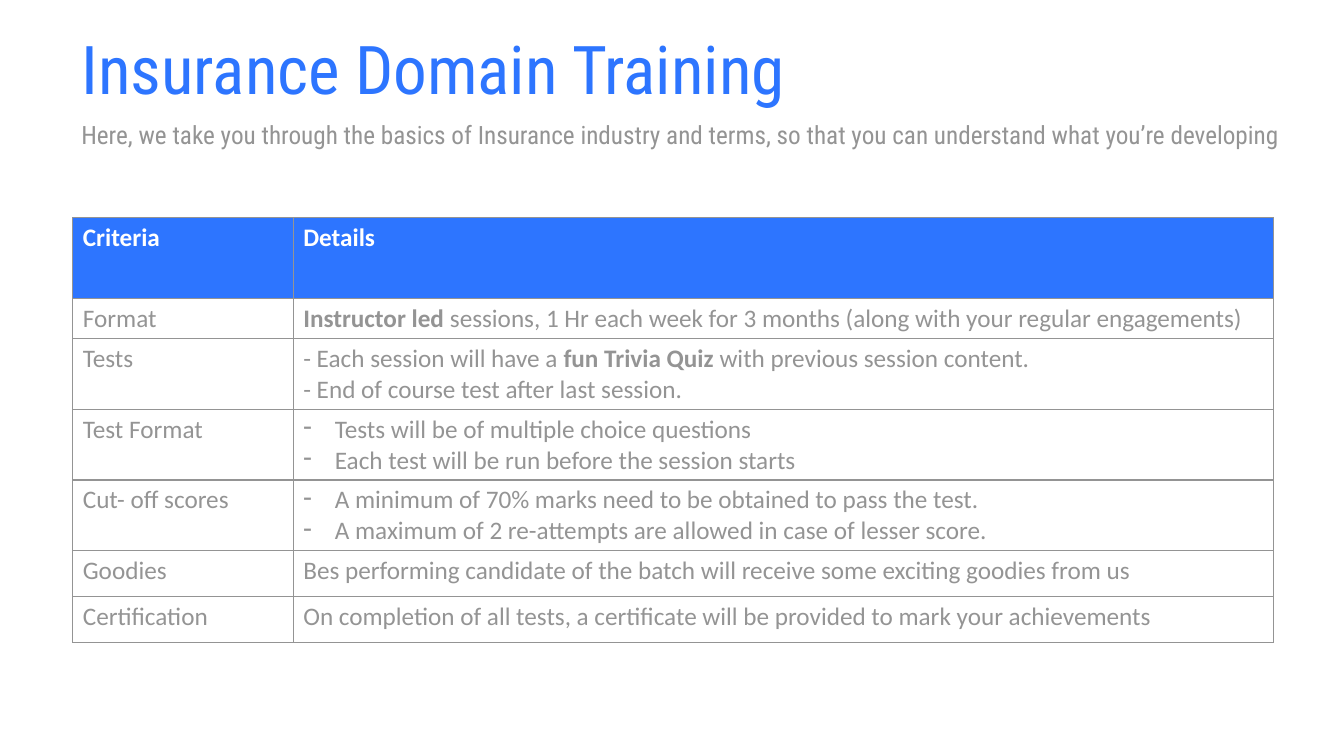
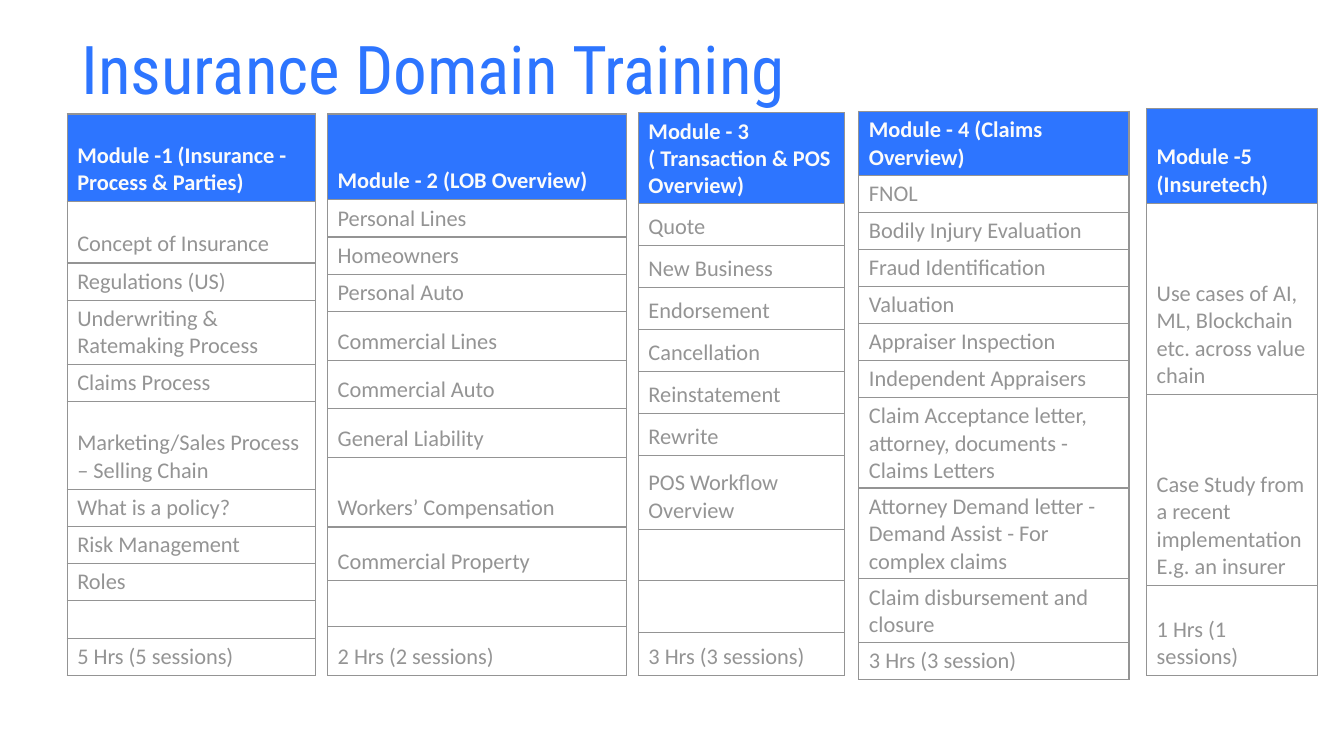
from lxml import etree
from pptx import Presentation
from pptx.dml.color import RGBColor
from pptx.enum.text import MSO_ANCHOR, MSO_AUTO_SIZE
from pptx.oxml.ns import qn
from pptx.util import Pt

TOP = MSO_ANCHOR.TOP
BOTTOM = MSO_ANCHOR.BOTTOM
GROW = MSO_AUTO_SIZE.SHAPE_TO_FIT_TEXT

COLORS = {
    "blue": "2D75FF",
    "grey": "949494",
    "white": "FFFFFF",
    "off_white": "FBFBFB",
}
FORMATS = {
    "title": {"name": "Roboto Condensed", "size": Pt(48), "color": "blue"},
    "subtitle": {"name": "Roboto Condensed", "size": Pt(18), "color": "grey"},
    "criteria_head": {"name": "Calibri", "size": Pt(18), "color": "white", "bold": True},
    "criteria_body": {"name": "Calibri", "size": Pt(18), "color": "grey", "bold": False},
    "module_head": {"name": "Calibri", "size": Pt(16), "color": "off_white", "bold": True},
    "module_body": {"name": "Calibri", "size": Pt(16), "color": "grey", "bold": False},
}

TITLE = "Insurance Domain Training"
SUBTITLE = (
    "Here, we take you through the basics of Insurance industry and terms, "
    "so that you can understand what you’re developing"
)
TITLE_BOX = (51, 16, 888.5, 65.5)
SUBTITLE_BOX = (51, 81.5, 888.5, 51)
CRITERIA_BOX = (52, 155.5, 857.5)
CRITERIA_WIDTH = 157.5
BULLET_INDENT = Pt(22.5)

CRITERIA = [
    (57.6, "Criteria", ["Details"], False),
    (28.4, "Format", [
        "**Instructor led **sessions, 1 Hr each week for 3 months "
        "(along with your regular engagements)",
    ], False),
    (50.4, "Tests", [
        "- Each session will have a **fun Trivia Quiz **with previous session content.",
        "- End of course test after last session.",
    ], False),
    (50.4, "Test Format", [
        "Tests will be of multiple choice questions",
        "Each test will be run before the session starts",
    ], True),
    (50.4, "Cut- off scores", [
        "A minimum of 70% marks need to be obtained to pass the test.",
        "A maximum of 2 re-attempts are allowed in case of lesser score.",
    ], True),
    (33, "Goodies", [
        "Bes performing candidate of the batch will receive some exciting goodies from us",
    ], False),
    (33, "Certification", [
        "On completion of all tests, a certificate will be provided to mark your achievements",
    ], False),
]

MODULES = [
    ((48, 81.5, 177.5), [
        (62.6, "Module -1 (Insurance - Process & Parties)"),
        (43.8, "Concept of Insurance"),
        (26.6, "Regulations (US)"),
        (45.8, "Underwriting & Ratemaking Process"),
        (26.6, "Claims Process"),
        (62.6, "Marketing/Sales Process – Selling Chain"),
        (26.6, "What is a policy?"),
        (26.6, "Risk Management"),
        (26.6, "Roles"),
        (26.6, ""),
        (26.6, "5 Hrs (5 sessions)"),
    ]),
    ((234, 81.5, 213.5), [
        (61.2, "Module - 2 (LOB Overview)"),
        (26.6, "Personal Lines"),
        (26.6, "Homeowners"),
        (26.6, "Personal Auto"),
        (34.8, "Commercial Lines"),
        (34.8, "Commercial Auto"),
        (34.8, "General Liability"),
        (49.6, "Workers’ Compensation"),
        (38.2, "Commercial Property"),
        (33, ""),
        (34.8, "2 Hrs (2 sessions)"),
    ]),
    ((456, 80.5, 147.5), [
        (65, "Module - 3 ( Transaction & POS Overview)"),
        (30, "Quote"),
        (30, "New Business"),
        (30, "Endorsement"),
        (30, "Cancellation"),
        (30, "Reinstatement"),
        (30, "Rewrite"),
        (52.6, "POS Workflow Overview"),
        (36.8, ""),
        (36.8, ""),
        (31, "3 Hrs (3 sessions)"),
    ]),
    ((613.5, 79.5, 193), [
        (45.8, "Module - 4 (Claims Overview)"),
        (26.4, "FNOL"),
        (26.4, "Bodily Injury Evaluation"),
        (26.4, "Fraud Identification"),
        (26.4, "Valuation"),
        (26.4, "Appraiser Inspection"),
        (26.4, "Independent Appraisers"),
        (64.8, "Claim Acceptance letter, attorney, documents - Claims Letters"),
        (64.8, "Attorney Demand letter - Demand Assist - For complex claims"),
        (45.6, "Claim disbursement and closure"),
        (26.4, "3 Hrs (3 session)"),
    ]),
    ((819, 77.5, 122), [
        (67.7, "Module -5 (Insuretech)"),
        (136.6, "Use cases of AI, ML, Blockchain etc. across value chain"),
        (136.6, "Case Study from a recent implementation E.g. an insurer"),
        (64.2, "1 Hrs (1 sessions)"),
    ]),
]


def rgb(color):
    return RGBColor.from_string(COLORS[color])


def style_font(font, format_name):
    for attribute, value in FORMATS[format_name].items():
        if attribute == "color":
            font.color.rgb = rgb(value)
        else:
            setattr(font, attribute, value)


def add_bullet(paragraph):
    properties = paragraph._p.get_or_add_pPr()
    properties.set("marL", str(BULLET_INDENT))
    properties.set("indent", str(-BULLET_INDENT))
    etree.SubElement(properties, qn("a:buChar"), char="-")


def write_text(text_frame, lines, format_name, bulleted=False):
    for index, line in enumerate(lines):
        paragraph = text_frame.add_paragraph() if index else text_frame.paragraphs[0]
        if bulleted:
            add_bullet(paragraph)
        for position, part in enumerate(line.split("**")):
            if part:
                run = paragraph.add_run()
                run.text = part
                style_font(run.font, format_name)
                if position % 2:
                    run.font.bold = True
        if not line:
            size = FORMATS[format_name]["size"].centipoints
            etree.SubElement(paragraph._p, qn("a:endParaRPr"), sz=str(size))


def add_text(slide, box, text, format_name):
    shape = slide.shapes.add_textbox(*map(Pt, box))
    shape.text_frame.word_wrap = True
    shape.text_frame.auto_size = GROW
    write_text(shape.text_frame, [text], format_name)


def style_cell(cell, fill_color, anchor):
    properties = cell._tc.get_or_add_tcPr()
    for edge in ("a:lnL", "a:lnR", "a:lnT", "a:lnB"):
        line = etree.SubElement(properties, qn(edge), w=str(Pt(1)))
        fill = etree.SubElement(line, qn("a:solidFill"))
        etree.SubElement(fill, qn("a:srgbClr"), val=COLORS["grey"])
    cell.fill.solid()
    cell.fill.fore_color.rgb = rgb(fill_color)
    cell.vertical_anchor = anchor


def add_grid(slide, box, widths, rows, style, anchor):
    left, top, width = box
    heights = [height for height, _ in rows]
    frame = slide.shapes.add_table(
        len(rows), len(widths), Pt(left), Pt(top), Pt(width), Pt(sum(heights))
    )
    table = frame.table
    table.first_row = False
    table.horz_banding = False
    for column, column_width in zip(table.columns, widths):
        column.width = Pt(column_width)
    for row_index, (height, contents) in enumerate(rows):
        table.rows[row_index].height = Pt(height)
        part, fill_color = ("body", "white") if row_index else ("head", "blue")
        for column_index, (lines, bulleted) in enumerate(contents):
            cell = table.cell(row_index, column_index)
            style_cell(cell, fill_color, anchor)
            write_text(cell.text_frame, lines, f"{style}_{part}", bulleted)


def add_criteria(slide, box):
    rows = [
        (height, [([criterion], False), (details, bulleted)])
        for height, criterion, details, bulleted in CRITERIA
    ]
    widths = [CRITERIA_WIDTH, box[2] - CRITERIA_WIDTH]
    add_grid(slide, box, widths, rows, "criteria", TOP)


def add_module(slide, box, topics):
    rows = [(height, [([topic], False)]) for height, topic in topics]
    add_grid(slide, box, [box[2]], rows, "module", BOTTOM)


def add_titled_slide(presentation):
    slide = presentation.slides.add_slide(presentation.slide_layouts[6])
    add_text(slide, TITLE_BOX, TITLE, "title")
    return slide


def build_overview(presentation):
    slide = add_titled_slide(presentation)
    add_text(slide, SUBTITLE_BOX, SUBTITLE, "subtitle")
    add_criteria(slide, CRITERIA_BOX)


def build_modules(presentation):
    slide = add_titled_slide(presentation)
    for box, topics in MODULES:
        add_module(slide, box, topics)


def main():
    presentation = Presentation()
    presentation.slide_width = Pt(960)
    presentation.slide_height = Pt(540)
    build_overview(presentation)
    build_modules(presentation)
    presentation.save("out.pptx")


if __name__ == "__main__":
    main()
